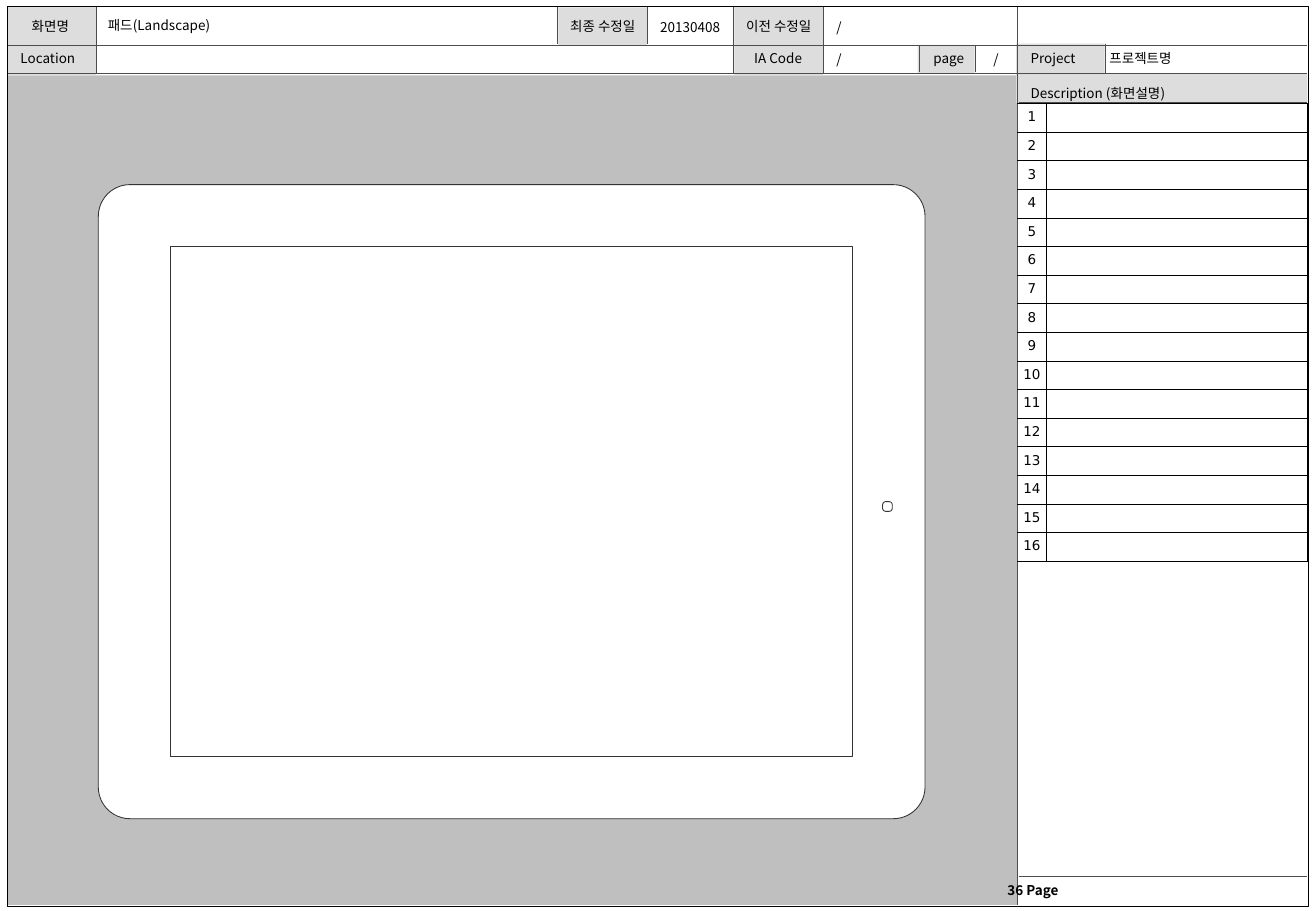
"""Build a wireframe template slide for a landscape tablet screen."""
from dataclasses import dataclass
from typing import Any, Optional

from lxml.etree import SubElement
from pptx import Presentation
from pptx.dml.color import RGBColor
from pptx.enum.shapes import MSO_CONNECTOR as Connector, MSO_SHAPE as Preset
from pptx.enum.text import MSO_ANCHOR as Anchor, PP_ALIGN as Align
from pptx.oxml.ns import qn
from pptx.util import Emu, Inches, Pt


@dataclass(frozen=True)
class Theme:
    ink: str = "000000"
    rule: str = "4D4D4D"
    device: str = "333333"
    label: str = "DDDDDD"
    canvas: str = "BFBFBF"
    paper: str = "FFFFFF"
    body_font: str = "Noto Sans CJK KR"
    number_font: str = "DejaVu Sans"
    body_size: float = 8
    rule_width: float = 0.25
    device_width: float = 0.5
    grid_width: float = 0.11


THEME = Theme()


@dataclass(frozen=True)
class Block:
    left: float
    top: float
    width: float
    height: float
    fill: Optional[str] = None
    line: Optional[str] = None
    weight: float = THEME.device_width
    corner: Optional[float] = None


@dataclass(frozen=True)
class Rule:
    x1: float
    y1: float
    x2: float
    y2: float


@dataclass(frozen=True)
class Label:
    text: str
    left: float
    top: float
    width: float
    height: float
    align: Align = Align.LEFT
    bold: bool = False
    tab: Optional[float] = None


PANELS = [
    Block(0.06, 0.62, 8.32, 6.83, THEME.canvas),
    *(Block(*area, fill=THEME.label) for area in [
        (6.05, 0.06, 0.73, 0.56), (4.6, 0.06, 0.73, 0.31), (0.06, 0.05, 0.73, 0.57),
        (8.37, 0.61, 2.4, 0.24), (8.37, 0.36, 0.73, 0.25), (7.56, 0.37, 0.47, 0.23)]),
]
RULES = [
    *(Rule(x, top, x, bottom) for x, top, bottom in [
        (0.79, 0.06, 0.61), (4.59, 0.06, 0.36), (5.33, 0.06, 0.36), (6.04, 0.06, 0.61),
        (6.78, 0.06, 0.61), (7.57, 0.37, 0.59), (8.03, 0.37, 0.59), (8.38, 0.05, 7.45),
        (9.1, 0.36, 0.6)]),
    *(Rule(left, y, 10.77, y) for left, y in [
        (0.07, 0.37), (0.07, 0.6), (8.39, 0.84), (8.39, 7.21)]),
]
LABELS = [
    Label("화면명", 0.07, 0.1, 0.69, 0.31, Align.CENTER),
    Label("최종 수정일", 4.47, 0.1, 0.99, 0.31, Align.CENTER),
    Label("이전 수정일", 5.92, 0.1, 0.99, 0.31, Align.CENTER),
    Label("Location", 0.07, 0.36, 0.8, 0.24),
    Label("IA Code", 6.05, 0.36, 0.72, 0.24, Align.CENTER),
    Label("page", 7.57, 0.36, 0.49, 0.24, Align.CENTER),
    Label("Project\t프로젝트명\nDescription (화면설명)", 8.39, 0.36, 2.38, 0.24, tab=0.65),
    Label("36 Page", 8.2, 7.21, 1.06, 0.25, bold=True),
    Label("패드(Landscape)", 0.79, 0.09, 1.4, 0.31),
    Label("20130408", 5.34, 0.11, 0.9, 0.31),
    Label("/", 6.79, 0.11, 0.69, 0.31),
    Label("/", 6.79, 0.37, 0.79, 0.22),
    Label("/", 8.05, 0.37, 0.31, 0.24, Align.CENTER),
]
DEVICE = [
    Block(0.06, 0.05, 10.72, 7.41, line=THEME.ink, weight=THEME.rule_width),
    Block(0.81, 1.52, 6.81, 5.22, THEME.paper, THEME.device, corner=0.05),
    Block(7.27, 4.13, 0.08, 0.08, THEME.paper, THEME.device, corner=0.32),
    Block(1.4, 2.03, 5.62, 4.2, line=THEME.device),
]
DESCRIPTION_COUNT = 16
DESCRIPTION_AREA = (8.38, 0.85, 2.39, 3.77)
DESCRIPTION_COLUMNS = (0.24, 2.15)


def apply(target: Any, values: dict[str, Any]) -> None:
    """Set each named attribute on the target."""
    for name, value in values.items():
        setattr(target, name, value)


def draw_block(slide: Any, block: Block) -> None:
    """Draw one rectangle, rounded when it has a corner value."""
    preset = Preset.RECTANGLE if block.corner is None else Preset.ROUNDED_RECTANGLE
    area = map(Inches, (block.left, block.top, block.width, block.height))
    shape = slide.shapes.add_shape(preset, *area)
    shape.shadow.inherit = False
    if block.corner is not None:
        shape.adjustments[0] = block.corner
    for paint, color in ((shape.fill, block.fill), (shape.line.fill, block.line)):
        if color:
            paint.solid()
            paint.fore_color.rgb = RGBColor.from_string(color)
        else:
            paint.background()
    if block.line:
        shape.line.width = Pt(block.weight)


def draw_rule(slide: Any, rule: Rule) -> None:
    """Draw one thin divider."""
    ends = map(Inches, (rule.x1, rule.y1, rule.x2, rule.y2))
    divider = slide.shapes.add_connector(Connector.STRAIGHT, *ends)
    divider.line.color.rgb = RGBColor.from_string(THEME.rule)
    divider.line.width = Pt(THEME.rule_width)
    SubElement(divider._element.spPr, qn("a:effectLst"))


def style_run(run: Any, font: str, bold: bool = False) -> None:
    """Give a run its typeface, size and colour."""
    apply(run.font, {"name": font, "size": Pt(THEME.body_size), "bold": bold})
    run.font.color.rgb = RGBColor.from_string(THEME.ink)
    SubElement(run.font._element, qn("a:ea"), typeface=font)


def draw_label(slide: Any, label: Label) -> None:
    """Draw one header or footer text."""
    area = map(Inches, (label.left, label.top, label.width, label.height))
    frame = slide.shapes.add_textbox(*area).text_frame
    apply(frame, {"word_wrap": True, "vertical_anchor": Anchor.TOP, "text": label.text})
    for index, paragraph in enumerate(frame.paragraphs):
        if label.tab and index == 0:
            stops = SubElement(paragraph._p.get_or_add_pPr(), qn("a:tabLst"))
            SubElement(stops, qn("a:tab"), pos=str(Inches(label.tab)), algn="l")
        if index:
            apply(paragraph, {"line_spacing": Pt(19), "space_before": Pt(2)})
        paragraph.alignment = label.align
        for run in paragraph.runs:
            style_run(run, THEME.body_font, label.bold)


def draw_borders(cell: Any, sides: str) -> None:
    """Rule the given sides of a cell and clear the others."""
    properties = cell._tc.get_or_add_tcPr()
    for side in "LRTB":
        border = SubElement(properties, qn(f"a:ln{side}"), w=str(Pt(THEME.grid_width)))
        if side in sides:
            paint = SubElement(border, qn("a:solidFill"))
            SubElement(paint, qn("a:srgbClr"), val=THEME.ink)
        else:
            SubElement(border, qn("a:noFill"))


def draw_descriptions(slide: Any) -> None:
    """Draw the numbered description table."""
    columns = len(DESCRIPTION_COLUMNS)
    area = map(Inches, DESCRIPTION_AREA)
    table = slide.shapes.add_table(DESCRIPTION_COUNT, columns, *area).table
    apply(table, {"first_row": False, "horz_banding": False})
    for column, width in zip(table.columns, DESCRIPTION_COLUMNS):
        column.width = Inches(width)
    for number, row in enumerate(table.rows, start=1):
        row.height = Emu(Inches(DESCRIPTION_AREA[3]) // DESCRIPTION_COUNT)
        for cell, sides in zip(row.cells, ("RTB", "LRTB")):
            apply(cell, {"margin_left": Inches(0.04), "margin_right": Inches(0.04)})
            draw_borders(cell, sides)
            cell.fill.background()
        number_cell, note_cell = row.cells
        paragraph = number_cell.text_frame.paragraphs[0]
        apply(paragraph, {"text": str(number), "alignment": Align.CENTER})
        style_run(paragraph.runs[0], THEME.number_font)
        note = note_cell.text_frame.paragraphs[0]._p
        ending = SubElement(note, qn("a:endParaRPr"), sz=str(int(THEME.body_size * 100)))
        SubElement(ending, qn("a:latin"), typeface=THEME.number_font)


def main() -> None:
    """Assemble and save the slide."""
    deck = Presentation()
    apply(deck, {"slide_width": Inches(10.84), "slide_height": Inches(7.5)})
    slide = deck.slides.add_slide(deck.slide_layouts[6])
    for draw, parts in ((draw_block, PANELS), (draw_rule, RULES),
                        (draw_block, DEVICE), (draw_label, LABELS)):
        for part in parts:
            draw(slide, part)
    draw_descriptions(slide)
    deck.save("out.pptx")


if __name__ == "__main__":
    main()
